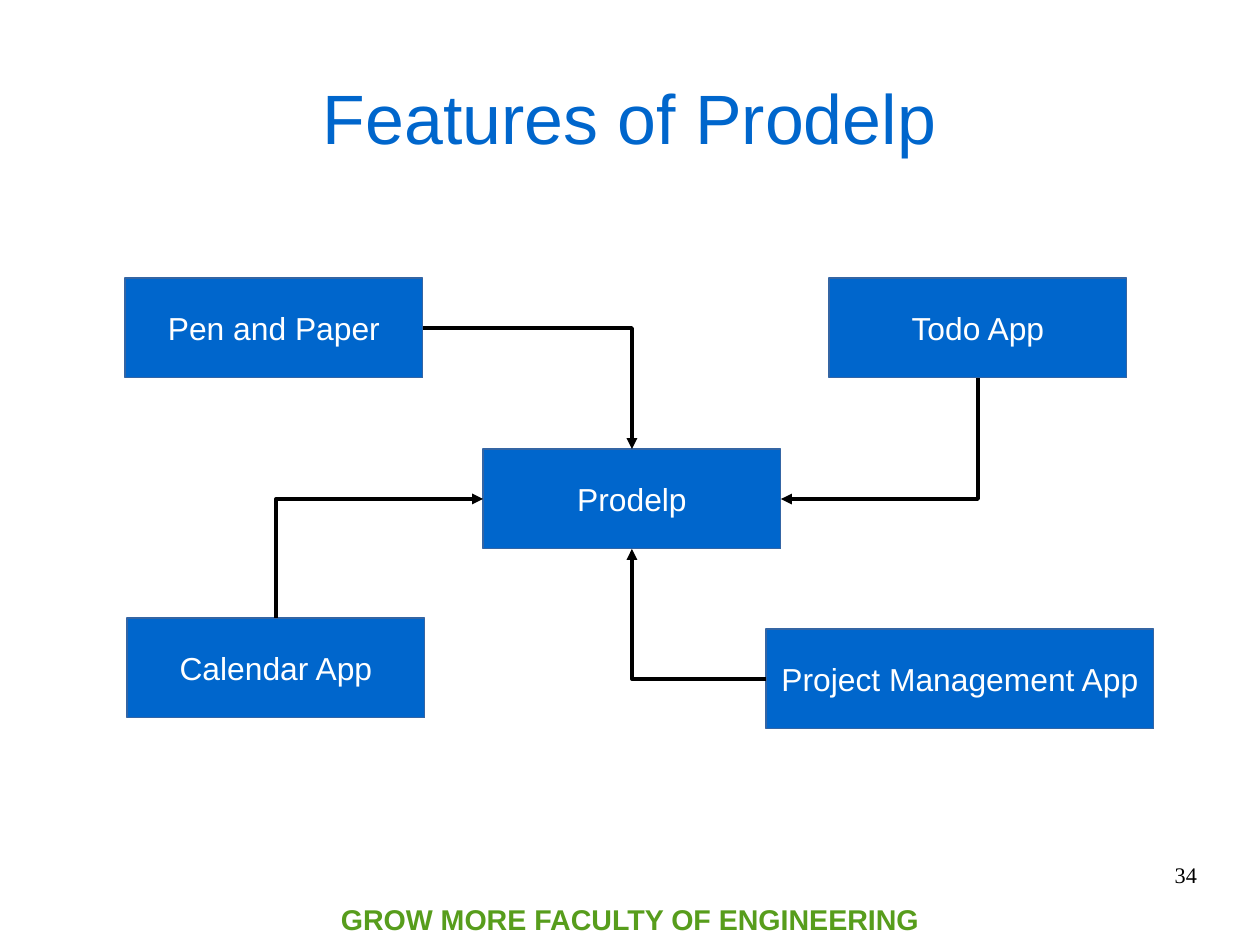
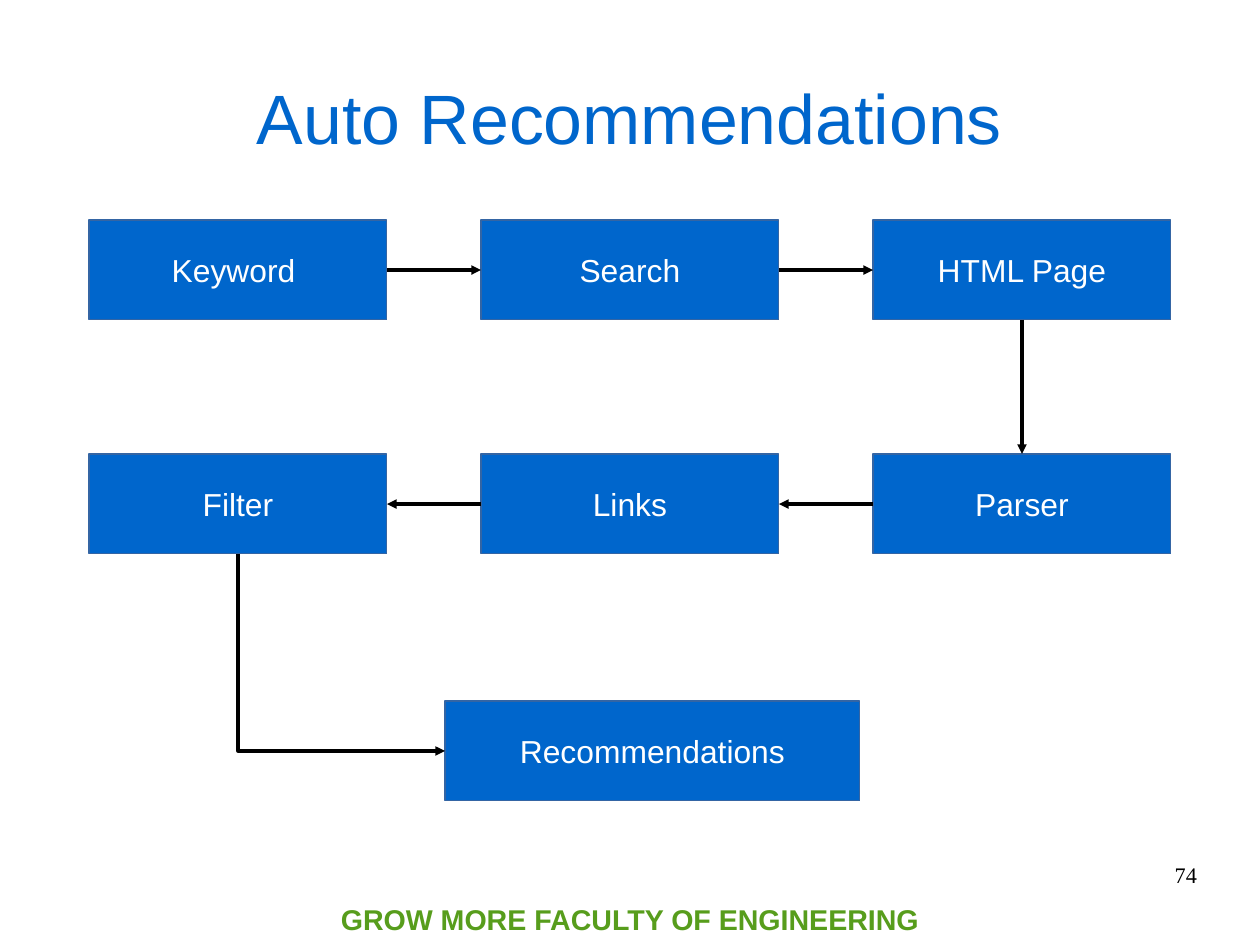
from dataclasses import dataclass
from itertools import pairwise

from lxml.etree import SubElement
from pptx import Presentation
from pptx.dml.color import RGBColor
from pptx.enum.shapes import MSO_CONNECTOR, MSO_SHAPE
from pptx.enum.text import MSO_ANCHOR, MSO_AUTO_SIZE, PP_ALIGN
from pptx.oxml.ns import qn
from pptx.util import Pt

PX = 8000
TOP, LEFT, BASE, RIGHT = range(4)


@dataclass(frozen=True)
class Theme:
    """Colours, fonts and sizes of the deck."""
    blue: str = "0066CC"
    edge: str = "3465A4"
    green: str = "579D1C"
    white: str = "FFFFFF"
    black: str = "000000"
    sans: str = "Arial"
    serif: str = "Times New Roman"
    head: int = 44
    node: int = 20
    foot: int = 18
    page: int = 14
    bold: float = 2.3
    hair: int = 0
    wide: int = 298
    high: int = 100


T = Theme()


def emu(*vals):
    """Turn px into EMU."""
    return [val * PX for val in vals]


def rgb(code):
    """Turn a hex code into a colour."""
    return RGBColor.from_string(code)


def write(shape, text, size, color, font=T.sans, align=PP_ALIGN.CENTER,
          anchor=MSO_ANCHOR.MIDDLE, bold=False, wrap=True, pad=(0, 0)):
    """Put one styled paragraph into a shape."""
    frame = shape.text_frame
    frame.text = text
    frame.auto_size = MSO_AUTO_SIZE.NONE
    frame.word_wrap = wrap
    frame.vertical_anchor = anchor
    frame.margin_left = frame.margin_right = pad[0] * PX
    frame.margin_top = frame.margin_bottom = pad[1] * PX
    para = frame.paragraphs[0]
    para.alignment = align
    para.font.name, para.font.size = font, Pt(size)
    para.font.bold = bold
    para.font.color.rgb = rgb(color)


def node(slide, text, x, y, wide=T.wide):
    """Draw one labelled blue box."""
    box = slide.shapes.add_shape(MSO_SHAPE.RECTANGLE, *emu(x, y, wide, T.high))
    box.shadow.inherit = False
    box.fill.solid()
    box.fill.fore_color.rgb = rgb(T.blue)
    box.line.color.rgb = rgb(T.edge)
    box.line.width = Pt(T.hair)
    write(box, text, T.node, T.white, wrap=False, pad=(11, 6))
    return box


def bend(wire, side):
    """Shape a wire as one corner that leaves from the given side."""
    wire._element.spPr.find(qn("a:prstGeom")).set("prst", "bentConnector2")
    if side in (LEFT, RIGHT):
        return
    x, y, ex, ey = wire.begin_x, wire.begin_y, wire.end_x, wire.end_y
    mx, my = (x + ex) // 2, (y + ey) // 2
    dx, dy = (ex - x) // 2, (ey - y) // 2
    wire.begin_x, wire.begin_y = mx - dy, my + dx
    wire.end_x, wire.end_y = mx + dy, my - dx
    wire.rotation = 90


def link(slide, start, out, end, into, width):
    """Join two boxes with an arrow, bent where the sides ask for it."""
    bent = (out + into) % 2 == 1
    kind = MSO_CONNECTOR.ELBOW if bent else MSO_CONNECTOR.STRAIGHT
    wire = slide.shapes.add_connector(kind, 0, 0, 0, 0)
    wire.begin_connect(start, out)
    wire.end_connect(end, into)
    if bent:
        bend(wire, out)
    wire.line.color.rgb = rgb(T.black)
    wire.line.width = Pt(width)
    props = wire._element.spPr
    SubElement(props.find(qn("a:ln")), qn("a:tailEnd"), type="triangle")
    SubElement(props, qn("a:effectLst"))


def hub(slide, box):
    """Draw four tools that feed the middle box."""
    x, y, w, h = box
    large = 388
    core = node(slide, "Prodelp", x + 358, y + 171)
    pen = node(slide, "Pen and Paper", x, y)
    todo = node(slide, "Todo App", x + 704, y)
    dates = node(slide, "Calendar App", x + 2, y + 340)
    plan = node(slide, "Project Management App",
                x + w - large, y + h - T.high, large)
    for tool, out, into in ((pen, RIGHT, TOP), (dates, TOP, LEFT),
                            (plan, LEFT, BASE), (todo, BASE, RIGHT)):
        link(slide, tool, out, core, into, T.bold)


def flow(slide, box):
    """Draw two rows of steps that snake down to the result."""
    x, y, w, h = box
    step = (w - T.wide) // 2
    drop = 234
    first = [node(slide, text, x + i * step, y)
             for i, text in enumerate(("Keyword ", "Search", "HTML Page"))]
    back = [node(slide, text, x + (2 - i) * step, y + drop)
            for i, text in enumerate(("Parser", "Links", "Filter"))]
    last = node(slide, "Recommendations", x + 356, y + h - T.high, 415)
    for row, out, into in ((first, RIGHT, LEFT), (back, LEFT, RIGHT)):
        for a, b in pairwise(row):
            link(slide, a, out, b, into, T.hair)
    link(slide, first[-1], BASE, back[0], TOP, T.hair)
    link(slide, back[-1], BASE, last, LEFT, T.hair)


def frame(deck, title, page):
    """Add a slide with its title, footer and page number."""
    slide = deck.slides.add_slide(deck.slide_layouts[5])
    head = slide.shapes.title
    head.left, head.top, head.width, head.height = emu(63, 38, 1134, 158)
    write(head, title, T.head, T.blue)
    foot = slide.shapes.add_textbox(*emu(273, 895, 714, 49))
    write(foot, "GROW MORE FACULTY OF ENGINEERING", T.foot, T.green, bold=True)
    mark = slide.shapes.add_textbox(*emu(903, 861, 294, 65))
    write(mark, page, T.page, T.black, T.serif, PP_ALIGN.RIGHT, MSO_ANCHOR.TOP)
    return slide


def main():
    """Build and save the deck."""
    deck = Presentation()
    deck.slide_width, deck.slide_height = emu(1260, 945)
    hub(frame(deck, "Features of Prodelp", "34"), (125, 278, 1029, 451))
    flow(frame(deck, "Auto Recommendations", "74"), (89, 220, 1082, 581))
    deck.save("out.pptx")


if __name__ == "__main__":
    main()
